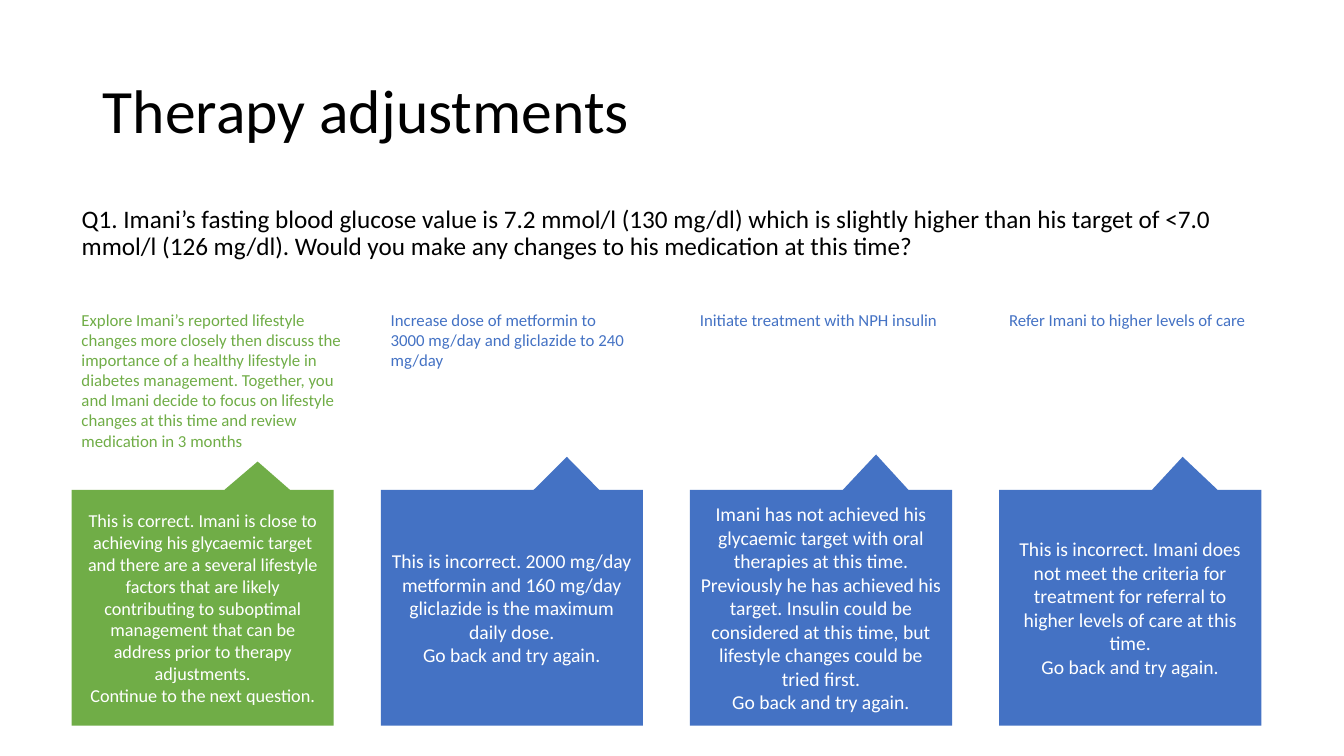
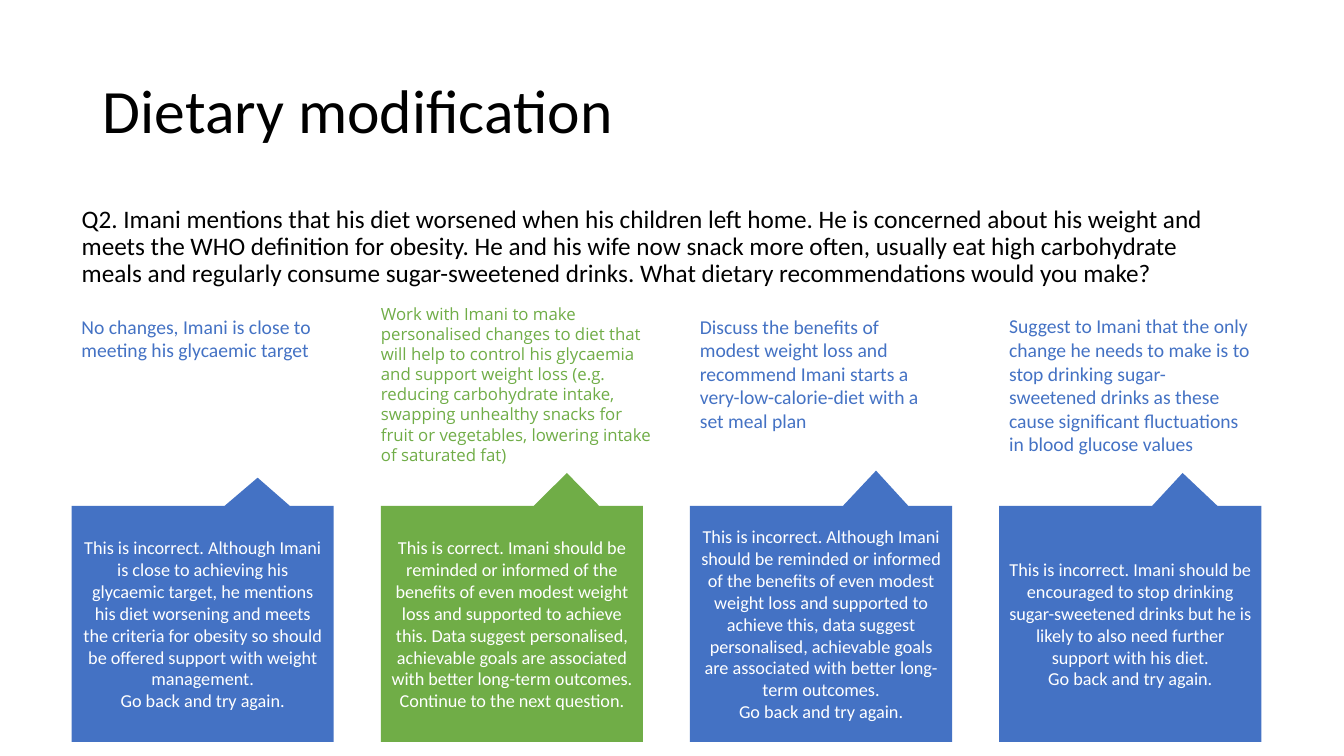
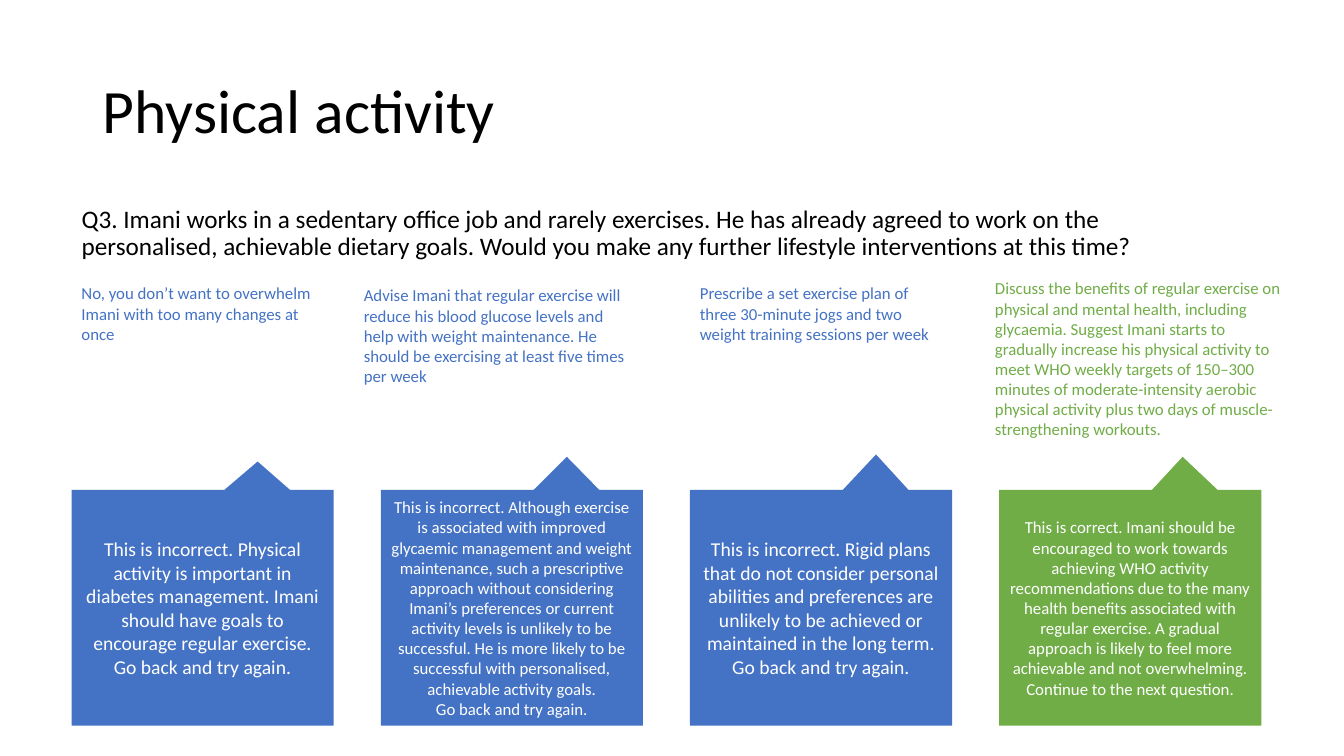
from pptx import Presentation
from pptx.dml.color import RGBColor
from pptx.enum import shapes, text
from pptx.util import Inches, Pt

FONT = "Calibri"
BLACK, WHITE, BLUE, GREEN = "000000", "FFFFFF", "4472C4", "70AD47"
COLUMN_LEFT, LAST_COLUMN_LEFT, COLUMN_WIDTH = 0.71, 9.91, 2.6
COLUMN_STEP = (LAST_COLUMN_LEFT - COLUMN_LEFT) / 3
REPLY_HEIGHT = 2.34
POINTERS = [(0.21, -0.62), (0.21, -0.64), (0.21, -0.65), (0.2, -0.64)]
NEXT_STEP = {True: "Continue to the next question.", False: "Go back and try again."}

QUIZ = [
    dict(
        title="Therapy adjustments",
        question="Q1. Imani’s fasting blood glucose value is 7.2 mmol/l (130 mg/dl) which is slightly higher than his target of <7.0 mmol/l (126 mg/dl). Would you make any changes to his medication at this time?",
        question_height=0.76, option_top=3.02, reply_top=4.86, correct=0,
        answers=[
            dict(option="Explore Imani’s reported lifestyle changes more closely then discuss the importance of a healthy lifestyle in diabetes management. Together, you and Imani decide to focus on lifestyle changes at this time and review medication in 3 months",
                 lines=7, option_width=2.95, reply_size=13,
                 reply="This is correct. Imani is close to achieving his glycaemic target and there are a several lifestyle factors that are likely contributing to suboptimal management that can be address prior to therapy adjustments."),
            dict(option="Increase dose of metformin to 3000 mg/day and gliclazide to 240 mg/day",
                 lines=3,
                 reply="This is incorrect. 2000 mg/day metformin and 160 mg/day gliclazide is the maximum daily dose."),
            dict(option="Initiate treatment with NPH insulin",
                 lines=1,
                 reply="Imani has not achieved his glycaemic target with oral therapies at this time. Previously he has achieved his target. Insulin could be considered at this time, but lifestyle changes could be tried first."),
            dict(option="Refer Imani to higher levels of care",
                 lines=1,
                 reply="This is incorrect. Imani does not meet the criteria for treatment for referral to higher levels of care at this time."),
        ],
    ),
    dict(
        title="Dietary modification",
        question="Q2. Imani mentions that his diet worsened when his children left home. He is concerned about his weight and meets the WHO definition for obesity. He and his wife now snack more often, usually eat high carbohydrate meals and regularly consume sugar-sweetened drinks. What dietary recommendations would you make?",
        question_height=0.96, option_top=3.07, reply_top=5.02, correct=1,
        option_size=14, reply_size=13,
        answers=[
            dict(option="No changes, Imani is close to meeting his glycaemic target",
                 lines=2,
                 reply="This is incorrect. Although Imani is close to achieving his glycaemic target, he mentions his diet worsening and meets the criteria for obesity so should be offered support with weight management."),
            dict(option="Work with Imani to make personalised changes to diet that will help to control his glycaemia and support weight loss (e.g. reducing carbohydrate intake, swapping unhealthy snacks for fruit or vegetables, lowering intake of saturated fat)",
                 lines=8, option_left=3.68, option_top=2.96, option_width=2.9,
                 option_size=12, option_font="Open Sans",
                 reply="This is correct. Imani should be reminded or informed of the benefits of even modest weight loss and supported to achieve this. Data suggest personalised, achievable goals are associated with better long-term outcomes."),
            dict(option="Discuss the benefits of modest weight loss and recommend Imani starts a very-low-calorie-diet with a set meal plan",
                 lines=5,
                 reply="This is incorrect. Although Imani should be reminded or informed of the benefits of even modest weight loss and supported to achieve this, data suggest personalised, achievable goals are associated with better long-term outcomes."),
            dict(option="Suggest to Imani that the only change he needs to make is to stop drinking sugar-sweetened drinks as these cause significant fluctuations in blood glucose values",
                 lines=6,
                 reply="This is incorrect. Imani should be encouraged to stop drinking sugar-sweetened drinks but he is likely to also need further support with his diet."),
        ],
    ),
    dict(
        title="Physical activity",
        question="Q3. Imani works in a sedentary office job and rarely exercises. He has already agreed to work on the personalised, achievable dietary goals. Would you make any further lifestyle interventions at this time?",
        question_height=0.71, option_top=2.76, reply_top=4.86, correct=3,
        answers=[
            dict(option="No, you don’t want to overwhelm Imani with too many changes at once",
                 lines=3,
                 reply="This is incorrect. Physical activity is important in diabetes management. Imani should have goals to encourage regular exercise."),
            dict(option="Advise Imani that regular exercise will reduce his blood glucose levels and help with weight maintenance. He should be exercising at least five times per week",
                 lines=5, option_left=3.51, option_top=2.78, option_width=2.86, reply_size=12,
                 reply="This is incorrect. Although exercise is associated with improved glycaemic management and weight maintenance, such a prescriptive approach without considering Imani’s preferences or current activity levels is unlikely to be successful. He is more likely to be successful with personalised, achievable activity goals."),
            dict(option="Prescribe a set exercise plan of three 30-minute jogs and two weight training sessions per week",
                 lines=3, option_width=2.64,
                 reply="This is incorrect. Rigid plans that do not consider personal abilities and preferences are unlikely to be achieved or maintained in the long term."),
            dict(option="Discuss the benefits of regular exercise on physical and mental health, including glycaemia. Suggest Imani starts to gradually increase his physical activity to meet WHO weekly targets of 150–300 minutes of moderate-intensity aerobic physical activity plus two days of muscle-strengthening workouts.",
                 lines=8, option_left=9.77, option_top=2.71, option_width=3.1, reply_size=12,
                 reply="This is correct. Imani should be encouraged to work towards achieving WHO activity recommendations due to the many health benefits associated with regular exercise. A gradual approach is likely to feel more achievable and not overwhelming."),
        ],
    ),
]


def rgb(colour):
    return RGBColor.from_string(colour)


def write(part, paragraphs, size, colour, font=FONT, align=text.PP_ALIGN.LEFT,
          anchor=text.MSO_ANCHOR.TOP, fit=text.MSO_AUTO_SIZE.NONE):
    frame = part.text_frame
    frame.text = "\n".join(paragraphs)
    frame.word_wrap = True
    frame.auto_size = fit
    frame.vertical_anchor = anchor
    for paragraph in frame.paragraphs:
        paragraph.alignment = align
        paragraph.font.name = font
        paragraph.font.size = Pt(size)
        paragraph.font.color.rgb = rgb(colour)
    return frame.paragraphs[0]


def place(part, left, top, width, height):
    part.left, part.top = Inches(left), Inches(top)
    part.width, part.height = Inches(width), Inches(height)


def add_heading(slide, topic):
    title, question = slide.placeholders
    place(title, 0.92, 0.4, 11.5, 1.45)
    write(title, [topic["title"]], 44, BLACK,
          anchor=text.MSO_ANCHOR.MIDDLE).line_spacing = 0.9
    place(question, COLUMN_LEFT, 2, 11.7, topic["question_height"])
    paragraph = write(question, [topic["question"]], 18, BLACK)
    paragraph.line_spacing = 0.9
    paragraph.space_before = Pt(10)
    properties = paragraph._p.get_or_add_pPr()
    properties.set("marL", "0")
    properties.set("indent", "0")
    bullet = properties.makeelement(
        "{http://schemas.openxmlformats.org/drawingml/2006/main}buNone", {})
    properties.insert_element_before(bullet, "a:tabLst", "a:defRPr", "a:extLst")


def add_reply(slide, left, top, reply, correct, size, pointer):
    callout = slide.shapes.add_shape(
        shapes.MSO_SHAPE.RECTANGULAR_CALLOUT, Inches(left), Inches(top),
        Inches(COLUMN_WIDTH), Inches(REPLY_HEIGHT))
    callout.adjustments[0], callout.adjustments[1] = pointer
    callout.shadow.inherit = False
    callout.fill.solid()
    callout.fill.fore_color.rgb = rgb(GREEN if correct else BLUE)
    callout.line.fill.background()
    write(callout, [reply, NEXT_STEP[correct]], size, WHITE,
          align=text.PP_ALIGN.CENTER, anchor=text.MSO_ANCHOR.MIDDLE)


def add_option(slide, left, top, answer, correct, size):
    height = 0.1 + answer["lines"] * size / 60
    option = slide.shapes.add_textbox(
        Inches(answer.get("option_left", left)), Inches(answer.get("option_top", top)),
        Inches(answer.get("option_width", COLUMN_WIDTH)), Inches(height))
    write(option, [answer["option"]], size, GREEN if correct else BLUE,
          font=answer.get("option_font", FONT), fit=text.MSO_AUTO_SIZE.SHAPE_TO_FIT_TEXT)


def add_topic(deck, topic):
    slide = deck.slides.add_slide(deck.slide_layouts[1])
    add_heading(slide, topic)
    columns = [(COLUMN_LEFT + i * COLUMN_STEP, answer, i == topic["correct"])
               for i, answer in enumerate(topic["answers"])]
    for (left, answer, correct), pointer in zip(columns, POINTERS):
        size = answer.get("reply_size", topic.get("reply_size", 14))
        add_reply(slide, left, topic["reply_top"], answer["reply"], correct, size, pointer)
    for left, answer, correct in columns:
        size = answer.get("option_size", topic.get("option_size", 12))
        add_option(slide, left, topic["option_top"], answer, correct, size)


def main():
    deck = Presentation()
    deck.slide_width, deck.slide_height = Inches(13.33), Inches(7.5)
    for topic in QUIZ:
        add_topic(deck, topic)
    deck.save("out.pptx")


if __name__ == "__main__":
    main()
